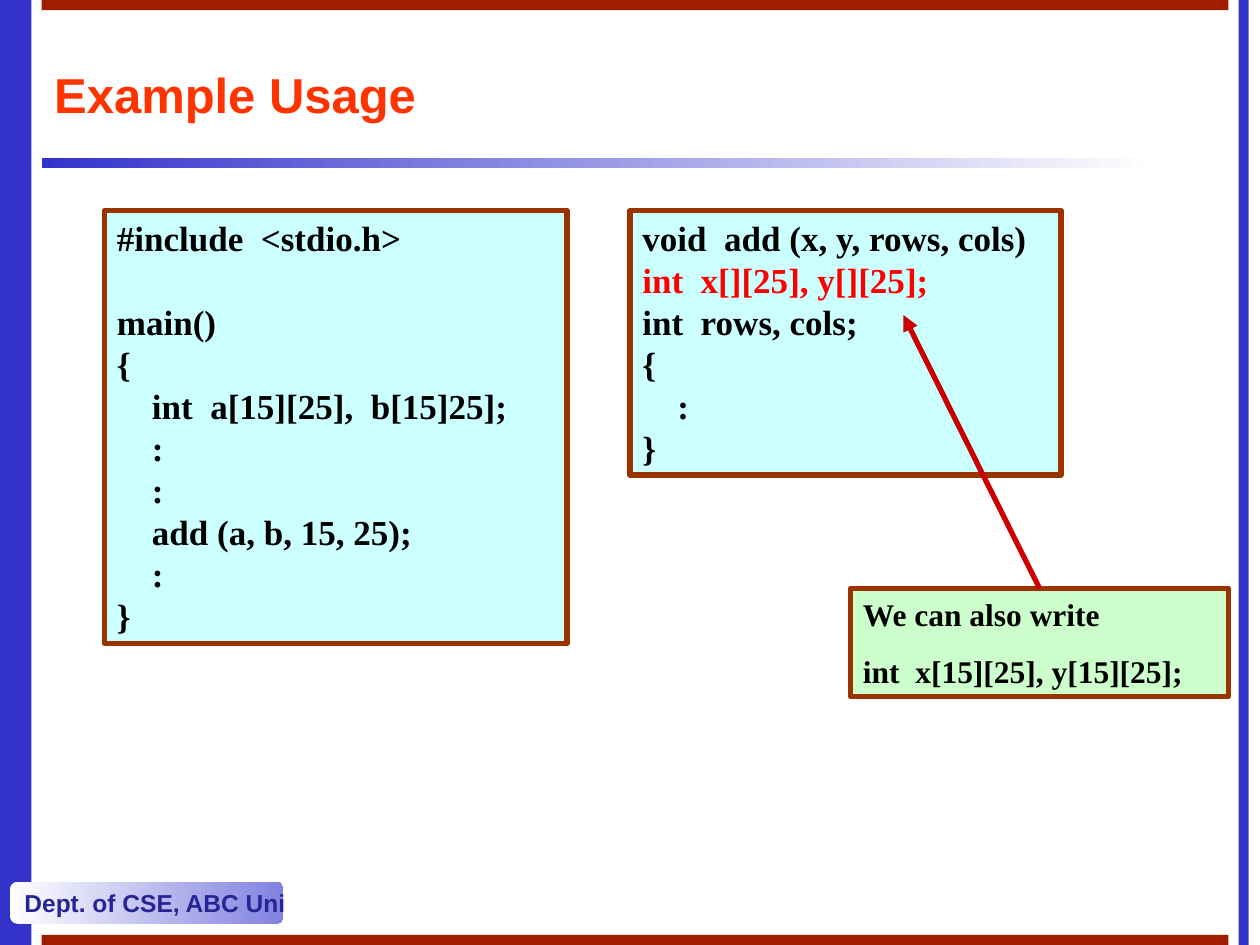
"""Build the slide "Example Usage" about passing two-dimensional arrays in C."""
from lxml.etree import SubElement
from pptx import Presentation
from pptx.dml.color import RGBColor
from pptx.enum.shapes import MSO_CONNECTOR, MSO_SHAPE
from pptx.enum.text import MSO_ANCHOR, PP_ALIGN
from pptx.oxml.ns import qn
from pptx.util import Inches, Pt

COLORS = {
    "blue": "3333CC", "white": "FFFFFF", "lilac": "8282E0", "navy": "252595",
    "maroon": "A01E00", "title": "FF3300", "code": "CCFFFF", "note": "CCFFCC",
    "border": "993300", "black": "000000", "red": "FF0000", "arrow": "CC0000",
}
WIDTH, HEIGHT = 10, 7.5
BAR = 0.08
LEFT = 0.33
CONTENT_WIDTH = 9.42

TITLE = "Example Usage"
FOOTER = "Dept. of CSE, ABC Uni"
FRAME_BARS = [
    ((0, 0, 0.25, HEIGHT), "blue"),
    ((WIDTH - 0.17, 0, BAR, HEIGHT), "blue"),
    ((LEFT, 0, CONTENT_WIDTH, BAR), "maroon"),
    ((LEFT, HEIGHT - BAR, CONTENT_WIDTH, BAR), "maroon"),
]
CODE_TOP = 1.67
ARROW_TIP = (7.17, 2.5)
CALLER = [
    {"text": "#include  <stdio.h>"},
    {"text": "main()", "before": 24},
    {"text": "{"},
    {"text": "int  a[15][25],  b[15]25];", "indent": 20},
    {"text": ":", "indent": 20},
    {"text": ":", "indent": 20},
    {"text": "add (a, b, 15, 25);", "indent": 20},
    {"text": ":", "indent": 20},
    {"text": "}"},
]
FUNCTION = [
    {"text": "void  add (x, y, rows, cols)"},
    {"text": "int  x[][25], y[][25];", "color": "red"},
    {"text": "int  rows, cols;"},
    {"text": "{"},
    {"text": ":", "indent": 20},
    {"text": "}"},
]
NOTE = [
    {"text": "We can also write", "before": 11.2},
    {"text": "int  x[15][25], y[15][25];", "before": 11.2},
]


def color(name):
    return RGBColor.from_string(COLORS[name])


def format_runs(paragraph, font_name, size, color_name):
    paragraph.alignment = PP_ALIGN.LEFT
    for run in paragraph.runs:
        run.font.name = font_name
        run.font.size = Pt(size)
        run.font.bold = True
        run.font.color.rgb = color(color_name)


def add_block(slide, box, fill, kind=MSO_SHAPE.RECTANGLE):
    shape = slide.shapes.add_shape(kind, *map(Inches, box))
    shape.shadow.inherit = False
    shape.line.fill.background()
    if isinstance(fill, tuple):
        shape.fill.gradient()
        shape.fill.gradient_angle = 0
        for stop, name in zip(shape.fill.gradient_stops, fill):
            stop.color.rgb = color(name)
    else:
        shape.fill.solid()
        shape.fill.fore_color.rgb = color(fill)
    return shape


def add_text_panel(slide, box, fill, lines, size):
    shape = add_block(slide, box, fill)
    shape.line.color.rgb = color("border")
    shape.line.width = Pt(3)
    frame = shape.text_frame
    frame.vertical_anchor = MSO_ANCHOR.TOP
    frame.word_wrap = True
    frame.text = "\n".join(line["text"] for line in lines)
    for paragraph, line in zip(frame.paragraphs, lines):
        format_runs(paragraph, "Times New Roman", size, line.get("color", "black"))
        paragraph.space_before = Pt(line.get("before", 0))
        if "indent" in line:
            paragraph._p.get_or_add_pPr().set("marL", str(Pt(line["indent"])))
    return shape


def add_arrow(slide, source, tip):
    arrow = slide.shapes.add_connector(MSO_CONNECTOR.STRAIGHT, 0, 0, *map(Inches, tip))
    arrow.begin_connect(source, 0)
    arrow.line.color.rgb = color("arrow")
    arrow.line.width = Pt(3)
    SubElement(arrow.line._get_or_add_ln(), qn("a:tailEnd"), type="triangle")
    SubElement(arrow._element.spPr, qn("a:effectLst"))


def add_title(slide):
    title = slide.shapes.title
    title.left, title.top, title.width, title.height = map(
        Inches, (LEFT, 0.33, CONTENT_WIDTH, 0.83))
    title.text_frame.text = TITLE
    title.text_frame.vertical_anchor = MSO_ANCHOR.MIDDLE
    format_runs(title.text_frame.paragraphs[0], "Arial", 28, "title")


def add_footer(slide):
    footer = add_block(slide, (0.08, 7, 2.17, 0.33), ("white", "lilac"),
                       MSO_SHAPE.ROUNDED_RECTANGLE)
    footer.text_frame.word_wrap = False
    footer.text_frame.text = FOOTER
    footer.text_frame.vertical_anchor = MSO_ANCHOR.MIDDLE
    format_runs(footer.text_frame.paragraphs[0], "Arial", 14, "navy")


def main():
    presentation = Presentation()
    presentation.slide_width = Inches(WIDTH)
    presentation.slide_height = Inches(HEIGHT)
    slide = presentation.slides.add_slide(presentation.slide_layouts[5])
    for box, fill in FRAME_BARS:
        add_block(slide, box, fill)
    add_block(slide, (LEFT, 1.25, 8.83, BAR), ("blue", "white"))
    add_footer(slide)
    add_title(slide)
    add_text_panel(slide, (0.83, CODE_TOP, 3.67, 3.44), "code", CALLER, 20)
    add_text_panel(slide, (5, CODE_TOP, 3.42, 2.1), "code", FUNCTION, 20)
    note = add_text_panel(slide, (6.75, 4.67, 3, 0.86), "note", NOTE, 18)
    add_arrow(slide, note, ARROW_TIP)
    presentation.save("out.pptx")


if __name__ == "__main__":
    main()
